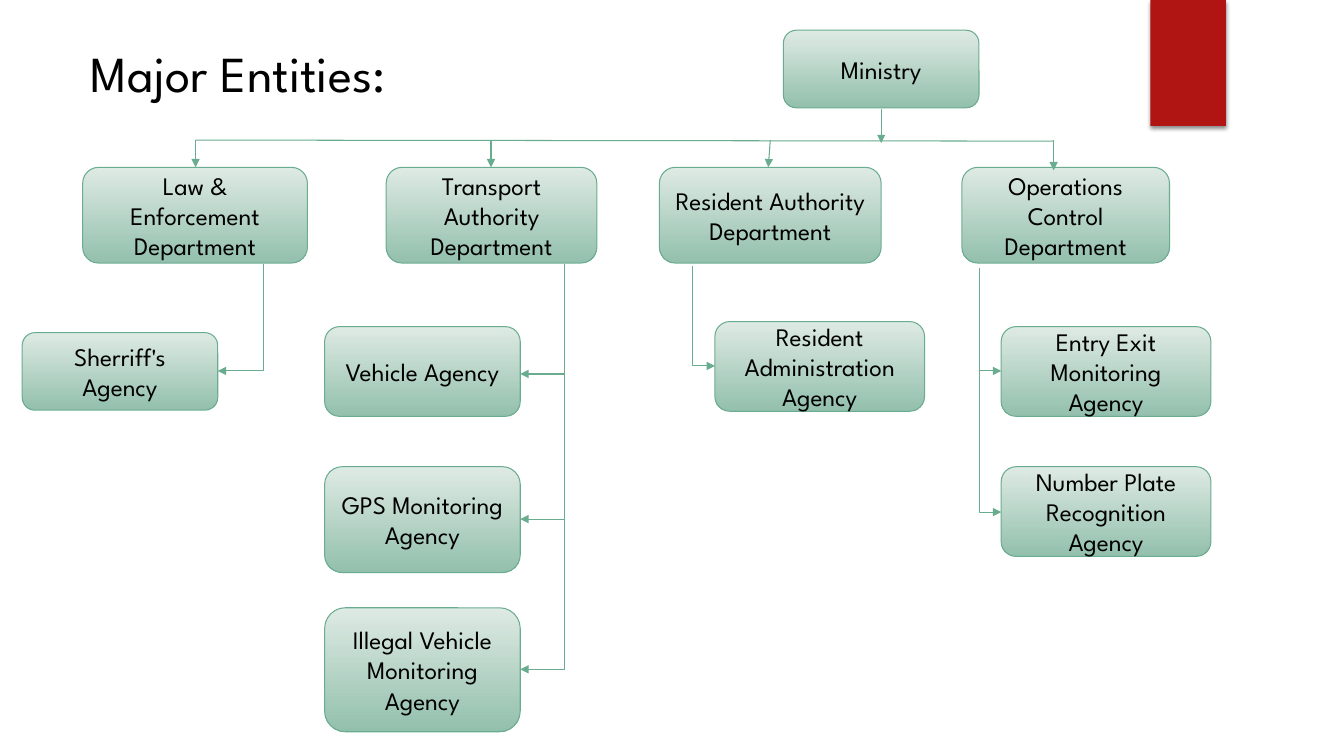
from typing import NamedTuple

from lxml.etree import SubElement
from pptx import Presentation
from pptx.dml.color import RGBColor
from pptx.enum.shapes import MSO_CONNECTOR as Link, MSO_SHAPE as Form
from pptx.enum.text import MSO_ANCHOR as Anchor, MSO_AUTO_SIZE as Fit, PP_ALIGN as Align
from pptx.oxml.ns import qn
from pptx.util import Inches, Pt

FONT = "League Spartan"
EDGE, LIGHT, DARK = "6AAC90", "DEEAE4", "93C0AC"
INK, RED = "000000", "B01513"


class Box(NamedTuple):
    text: str
    left: float
    top: float
    width: float
    height: float


class Line(NamedTuple):
    x1: float
    y1: float
    x2: float
    y2: float
    arrow: bool = True


def rgb(code: str) -> RGBColor:
    return RGBColor.from_string(code)


def style(frame, size: int, align) -> None:
    for para in frame.paragraphs:
        para.alignment = align
        for run in para.runs:
            run.font.name = FONT
            run.font.size = Pt(size)
            run.font.color.rgb = rgb(INK)


def draw_box(box: Box) -> None:
    shape = slide.shapes.add_shape(Form.ROUNDED_RECTANGLE, *map(Inches, box[1:]))
    shape.shadow.inherit = False
    shape.fill.gradient()
    shape.fill.gradient_angle = 270
    for stop, code in zip(shape.fill.gradient_stops, (LIGHT, DARK)):
        stop.color.rgb = rgb(code)
    shape.line.color.rgb = rgb(EDGE)
    shape.line.width = Pt(0.75)
    frame = shape.text_frame
    frame.text = box.text
    frame.word_wrap = True
    frame.vertical_anchor = Anchor.MIDDLE
    style(frame, 18, Align.CENTER)


def draw_line(line: Line, kind=Link.STRAIGHT):
    link = slide.shapes.add_connector(kind, *map(Inches, line[:4]))
    link.line.color.rgb = rgb(EDGE)
    link.line.width = Pt(0.75)
    if line.arrow:
        SubElement(link.line._get_or_add_ln(), qn("a:tailEnd"), type="triangle")
    SubElement(link._element.spPr, qn("a:effectLst"))
    return link


def draw_elbow(line: Line) -> None:
    """Go down from the start, then sideways to the end."""
    mid_x, mid_y = (line.x1 + line.x2) / 2, (line.y1 + line.y2) / 2
    half_w, half_h = (line.y2 - line.y1) / 2, abs(line.x2 - line.x1) / 2
    turned = Line(mid_x - half_w, mid_y - half_h, mid_x + half_w, mid_y + half_h)
    props = draw_line(turned, Link.ELBOW)._element.spPr
    props.find(qn("a:prstGeom")).set("prst", "bentConnector2")
    frame = props.find(qn("a:xfrm"))
    right = line.x2 > line.x1
    frame.set("rot", str((270 if right else 90) * 60000))
    if right:
        frame.set("flipH", "1")


deck = Presentation()
deck.slide_width, deck.slide_height = Inches(13.33), Inches(7.5)
slide = deck.slides.add_slide(deck.slide_layouts[5])

# Red tab with a soft shadow
tab = slide.shapes.add_shape(Form.RECTANGLE, *map(Inches, (11.41, 0, 0.75, 1.25)))
tab.fill.solid()
tab.fill.fore_color.rgb = rgb(RED)
tab.line.fill.background()
tab.shadow.inherit = False
glow = SubElement(tab._element.spPr.find(qn("a:effectLst")), qn("a:outerShdw"),
                  blurRad=str(Pt(3)), dist=str(Pt(2)), dir=str(90 * 60000), rotWithShape="0")
shade = SubElement(glow, qn("a:srgbClr"), val=INK)
SubElement(shade, qn("a:alpha"), val="45000")

# Ministry, departments and agencies
ROW, DEEP = 1.66, 0.95
SLIM, WIDE, TALL = 1.94, 2.08, 0.89
BOXES = [
    Box("Ministry", 7.77, 0.3, SLIM, 0.77),
    Box("Law & Enforcement Department", 0.82, ROW, 2.23, DEEP),
    Box("Transport Authority Department", 3.83, ROW, 2.09, DEEP),
    Box("Resident Authority Department", 6.54, ROW, 2.2, DEEP),
    Box("Operations Control Department", 9.54, ROW, 2.06, DEEP),
    Box("Sherriff's Agency", 0.22, 3.3, SLIM, 0.77),
    Box("Vehicle Agency", 3.22, 3.24, SLIM, TALL),
    Box("GPS Monitoring Agency", 3.22, 4.63, SLIM, 1.05),
    Box("Illegal Vehicle Monitoring Agency", 3.22, 6.03, SLIM, 1.23),
    Box("Resident Administration Agency", 7.09, 3.19, WIDE, TALL),
    Box("Entry Exit Monitoring Agency", 9.93, 3.24, WIDE, TALL),
    Box("Number Plate Recognition Agency", 9.93, 4.63, WIDE, TALL),
]
for box in BOXES:
    draw_box(box)

# Elbows from departments to agencies
ELBOWS = [
    Line(2.61, 2.62, 2.16, 3.68),
    *(Line(5.6, 2.62, 5.16, y) for y in (3.71, 5.15, 6.64)),
    Line(6.87, 2.64, 7.09, 3.63),
    *(Line(9.71, 2.66, 9.93, y) for y in (3.68, 5.08)),
]
for elbow in ELBOWS:
    draw_elbow(elbow)

# Rail under the ministry and its drops
RAIL = 1.39
LINES = [
    Line(1.94, RAIL, 10.45, 1.4, False),
    Line(8.74, 1.08, 8.74, 1.42),
    Line(1.94, RAIL, 1.94, ROW),
    Line(4.87, RAIL, 4.87, ROW),
    Line(7.64, RAIL, 7.62, ROW),
    Line(10.45, RAIL, 10.45, 1.69),
]
for line in LINES:
    draw_line(line)

# Title
title = slide.shapes.title
title.left, title.top, title.width, title.height = map(Inches, (0.8, 0.37, 9.65, 0.77))
head = title.text_frame
head.text = "Major Entities:"
head.auto_size = Fit.NONE
head.vertical_anchor = Anchor.TOP
style(head, 36, Align.LEFT)

deck.save("out.pptx")
